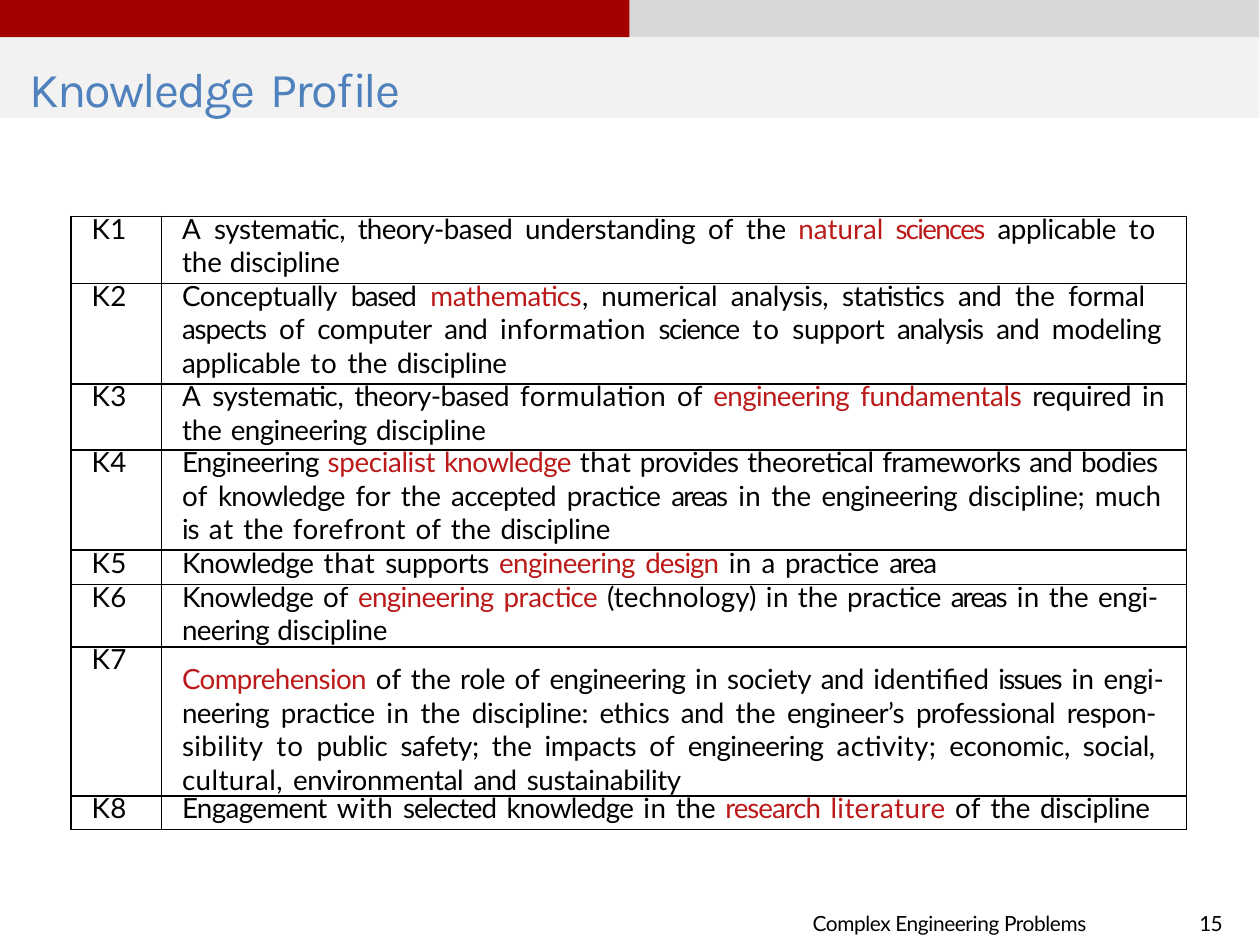
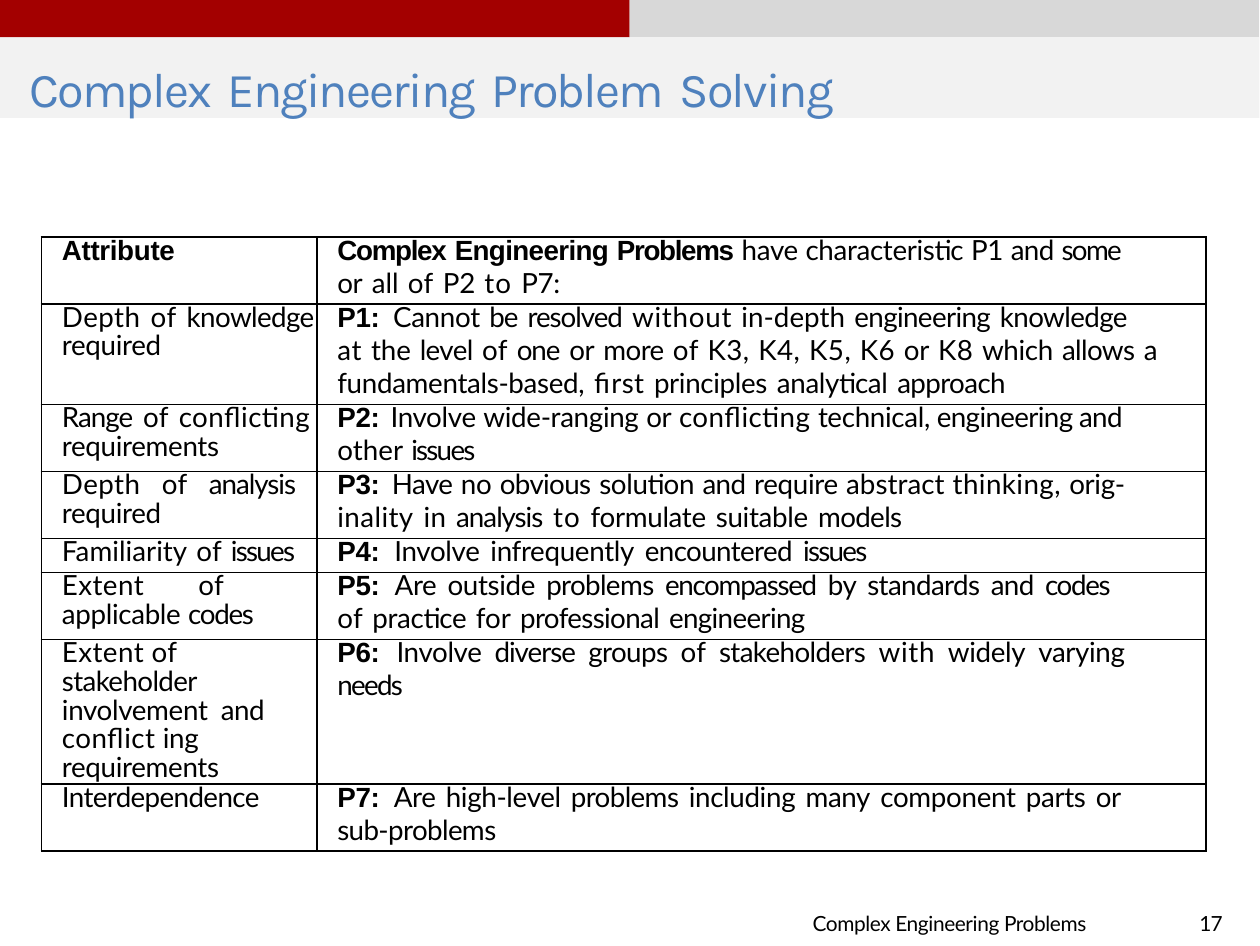
from lxml import etree
from pptx import Presentation
from pptx.dml.color import RGBColor
from pptx.enum.shapes import MSO_SHAPE
from pptx.enum.text import MSO_ANCHOR, MSO_AUTO_SIZE, PP_ALIGN
from pptx.oxml.ns import qn
from pptx.util import Cm, Pt

RECT = MSO_SHAPE.RECTANGLE
TOP = MSO_ANCHOR.TOP
LEFT, JUSTIFY = PP_ALIGN.LEFT, PP_ALIGN.JUSTIFY
NO_FIT = MSO_AUTO_SIZE.NONE

COLORS = {"red": "A30000", "grey": "D8D8D8", "light": "F2F2F2",
          "title": "4F81BD", "text": "000000", "accent": "BC1919"}
FOOTER = "Complex Engineering Problems"
TITLE_ONLY = 5
TIGHT, LOOSE = 8.3, 9.6  # line pitch in points
LABEL_GAP = 1.2          # extra space after a bold label such as P1:

# Letter spacing in points by word; all other words take the default
DEFAULT_TRACK = -0.1
TRACK_WORDS = {
    0.3: "A to",
    0.2: "that with without at",
    0.1: "of in formulation forefront information literature sibility first "
         "inality activity; thinking, conflicting cultural, conflict Extent "
         "Depth K1 K2 K3 K4 K5 K6 K7 K8 K3, K4, K5,",
    0: "the natural for (technology) identified in-depth abstract other all "
       "Familiarity",
    -0.2: "and theory-based engineering Engineering knowledge Knowledge "
          "provides frameworks bodies accepted neering engineer’s "
          "professional respon- Engagement level more allows problems "
          "encountered groups stakeholder stakeholders models approach Have "
          "obvious by standards sub-problems Interdependence Comprehension",
    -0.3: "aspects is design selected research be resolved one Range diverse "
          "analysis",
    -0.4: "based science a area codes encompassed Complex Problems",
    -0.5: "areas issues sciences some needs",
}
TRACK = {w: pt for pt, words in TRACK_WORDS.items() for w in words.split()}

# Rows: height, label lines, body lines. A line is its text and the
# spacing of its word gaps in points; |bars| enclose the stressed words.
PROFILE = [
    (0.68, [("K1", 0)],
     [("A systematic, theory-based understanding of the |natural sciences| applicable to", 1.4),
      ("the discipline", 0.1)]),
    (1.02, [("K2", 0)],
     [("Conceptually based |mathematics|, numerical analysis, statistics and the formal", 1.7),
      ("aspects of computer and information science to support analysis and modeling", 1.4),
      ("applicable to the discipline", 0.6)]),
    (0.67, [("K3", 0)],
     [("A systematic, theory-based formulation of |engineering fundamentals| required in", 0.9),
      ("the engineering discipline", 0.4)]),
    (1.02, [("K4", 0)],
     [("Engineering |specialist knowledge| that provides theoretical frameworks and bodies", 0.25),
      ("of knowledge for the accepted practice areas in the engineering discipline; much", 0.8),
      ("is at the forefront of the discipline", 0.6)]),
    (0.35, [("K5", 0)],
     [("Knowledge that supports |engineering design| in a practice area", 0.7)]),
    (0.63, [("K6", 0)],
     [("Knowledge of |engineering practice| (technology) in the practice areas in the engi-", 0.5),
      ("neering discipline", 0.1)]),
    (1.51, [("K7", 0)],
     [("|Comprehension| of the role of engineering in society and identified issues in engi-", 0.5),
      ("neering practice in the discipline: ethics and the engineer’s professional respon-", 1.1),
      ("sibility to public safety; the impacts of engineering activity; economic, social,", 1.5),
      ("cultural, environmental and sustainability", 0.7)]),
    (0.34, [("K8", 0)],
     [("Engagement with selected knowledge in the |research literature| of the discipline", 0.6)]),
]
ATTRIBUTES = [
    (0.68, [("|Attribute|", 0)],
     [("|Complex Engineering Problems| have characteristic P1 and some", 0),
      ("or all of P2 to P7:", 0.5)]),
    (1.02, [("Depth of knowledge", 0.8), ("required", 0)],
     [("|P1:| Cannot be resolved without in-depth engineering knowledge", 0.5),
      ("at the level of one or more of K3, K4, K5, K6 or K8 which allows a", 0.4),
      ("fundamentals-based, first principles analytical approach", 0.6)]),
    (0.68, [("Range of conflicting", 0.7), ("requirements", 0)],
     [("|P2:| Involve wide-ranging or conflicting technical, engineering and", -0.2),
      ("other issues", 0.2)]),
    (0.68, [("Depth of analysis", 4), ("required", 0)],
     [("|P3:| Have no obvious solution and require abstract thinking, orig-", 0.2),
      ("inality in analysis to formulate suitable models", 0.7)]),
    (0.35, [("Familiarity of issues", 0.4)],
     [("|P4:| Involve infrequently encountered issues", 0.9)]),
    (0.68, [("Extent of", 13.5), ("applicable codes", 0)],
     [("|P5:| Are outside problems encompassed by standards and codes", 0.95),
      ("of practice for professional engineering", 0.5)]),
    (1.47, [("Extent of", 0), ("stakeholder", 0), ("involvement and", 1.6),
            ("conflict ing", 0), ("requirements", 0)],
     [("|P6:| Involve diverse groups of stakeholders with widely varying", 1.5),
      ("needs", 0)]),
    (0.68, [("Interdependence", 0)],
     [("|P7:| Are high-level problems including many component parts or", 0.7),
      ("sub-problems", 0)]),
]


class Deck:
    """Shared style and the current slide."""

    def __init__(self):
        self.prs = Presentation()
        # 363 by 272.5 points, a page of about 12.8 by 9.6 cm
        self.prs.slide_width, self.prs.slide_height = Pt(363), Pt(272.5)
        self.s = None

    def color(self, name):
        return RGBColor.from_string(COLORS[name])

    def style(self, r, size, font="Lato", color="text", track=0, bold=False):
        r.font.size, r.font.name, r.font.bold = Pt(size), font, bold
        r.font.color.rgb = self.color(color)
        r._r.get_or_add_rPr().set("spc", str(round(track * 100)))

    def frame(self, tf, left=0, top=0):
        tf.word_wrap, tf.auto_size, tf.vertical_anchor = True, NO_FIT, TOP
        tf.margin_left, tf.margin_top = Cm(left), Cm(top)
        tf.margin_right = tf.margin_bottom = 0

    def slide(self, title, number):
        self.s = self.prs.slides.add_slide(self.prs.slide_layouts[TITLE_ONLY])
        self.band(0, "red")
        self.band(6.4, "grey")
        self.title(title)
        self.note(FOOTER, 8.26, 3.2, -0.1)
        self.note(str(number), 12.19, 0.6, -0.2)

    def band(self, x, color):
        sp = self.s.shapes.add_shape(RECT, Cm(x), 0, Cm(6.4), Cm(0.38))
        sp.shadow.inherit = False
        sp.fill.solid()
        sp.fill.fore_color.rgb = self.color(color)
        sp.line.fill.background()

    def title(self, text):
        sp = self.s.shapes.title
        sp.left, sp.top, sp.width, sp.height = 0, Cm(0.38), Cm(12.8), Cm(0.82)
        sp.fill.solid()
        sp.fill.fore_color.rgb = self.color("light")
        tf = sp.text_frame
        self.frame(tf, 0.3, 0.22)
        p = tf.paragraphs[0]
        p.alignment = LEFT
        look = {"size": 14, "font": "Karla", "color": "title"}
        for i, word in enumerate(text.split()):
            if i:
                self.run(p, " ", 1, look)
            self.run(p, word, -0.55, look)

    def note(self, text, x, width, track):
        tf = self.s.shapes.add_textbox(Cm(x), Cm(9.27), Cm(width), Cm(0.28)).text_frame
        self.frame(tf)
        tf.text = text
        p = tf.paragraphs[0]
        p.line_spacing = Pt(6.8)
        self.style(p.runs[0], 6, track=track)

    def table(self, x, y, widths, rows, bold=False, align=LEFT):
        """Two columns; stressed words are bold or in the accent colour."""
        height = sum(row[0] for row in rows)
        t = self.s.shapes.add_table(len(rows), len(widths), Cm(x), Cm(y),
                                    Cm(sum(widths)), Cm(height)).table
        t.first_row = t.horz_banding = False
        for col, width in zip(t.columns, widths):
            col.width = Cm(width)
        for row, (row_height, label, body) in zip(t.rows, rows):
            row.height = Cm(row_height)
            # The longest body text starts a little lower
            offset = 0.16 if len(body) > 3 else 0
            self.cell(row.cells[0], label, TIGHT, 0, bold, align)
            self.cell(row.cells[1], body, LOOSE, offset, bold, align)

    def cell(self, cell, lines, pitch, offset, bold, align):
        cell.margin_left, cell.margin_top = Cm(0.21), Cm(offset)
        cell.margin_right = cell.margin_bottom = 0
        cell.vertical_anchor = TOP
        self.borders(cell)
        cell.fill.background()
        tf = cell.text_frame
        for i, (text, gap) in enumerate(lines):
            p = tf.add_paragraph() if i else tf.paragraphs[0]
            p.alignment = align
            p.line_spacing = Pt(pitch if i or offset else TIGHT)
            self.line(p, text, gap, bold)

    def line(self, p, text, gap, bold):
        for i, chunk in enumerate(text.split("|")):
            stressed = i % 2 == 1
            heavy = stressed and bold
            look = {"size": 8, "font": "Arial" if heavy else "Lato", "bold": heavy,
                    "color": "accent" if stressed and not bold else "text"}
            for j, word in enumerate(chunk.split(" ")):
                if j:
                    last = p.runs[-1] if p.runs else None
                    after_label = last and last.font.bold and last.text.endswith(":")
                    self.run(p, " ", gap + (LABEL_GAP if after_label else 0), look)
                if word:
                    self.run(p, word, TRACK.get(word, DEFAULT_TRACK), look)

    def run(self, p, text, track, look):
        r = p.add_run()
        r.text = text
        self.style(r, track=track, **look)

    def borders(self, cell):
        tcPr = cell._tc.get_or_add_tcPr()
        for side in ("a:lnL", "a:lnR", "a:lnT", "a:lnB"):
            ln = etree.SubElement(tcPr, qn(side), w=str(Pt(0.5)))
            fill = etree.SubElement(ln, qn("a:solidFill"))
            etree.SubElement(fill, qn("a:srgbClr"), val=COLORS["text"])


def main():
    deck = Deck()

    # Knowledge profile
    deck.slide("Knowledge Profile", 15)
    deck.table(0.72, 2.2, (0.92, 10.42), PROFILE, align=JUSTIFY)

    # Problem attributes
    deck.slide("Complex Engineering Problem Solving", 17)
    deck.table(0.42, 2.41, (2.8, 9.04), ATTRIBUTES, bold=True)

    deck.prs.save("out.pptx")


if __name__ == "__main__":
    main()
